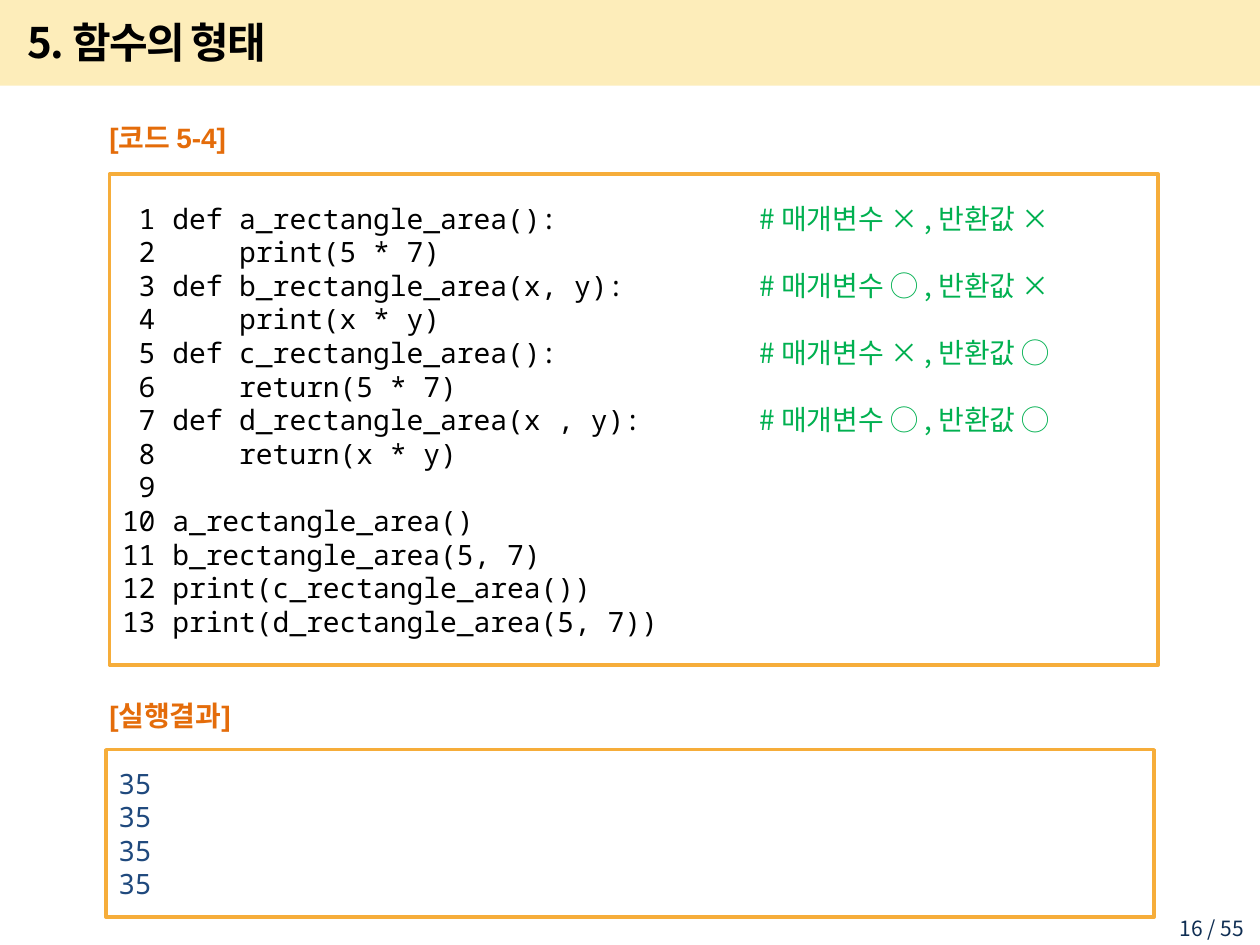
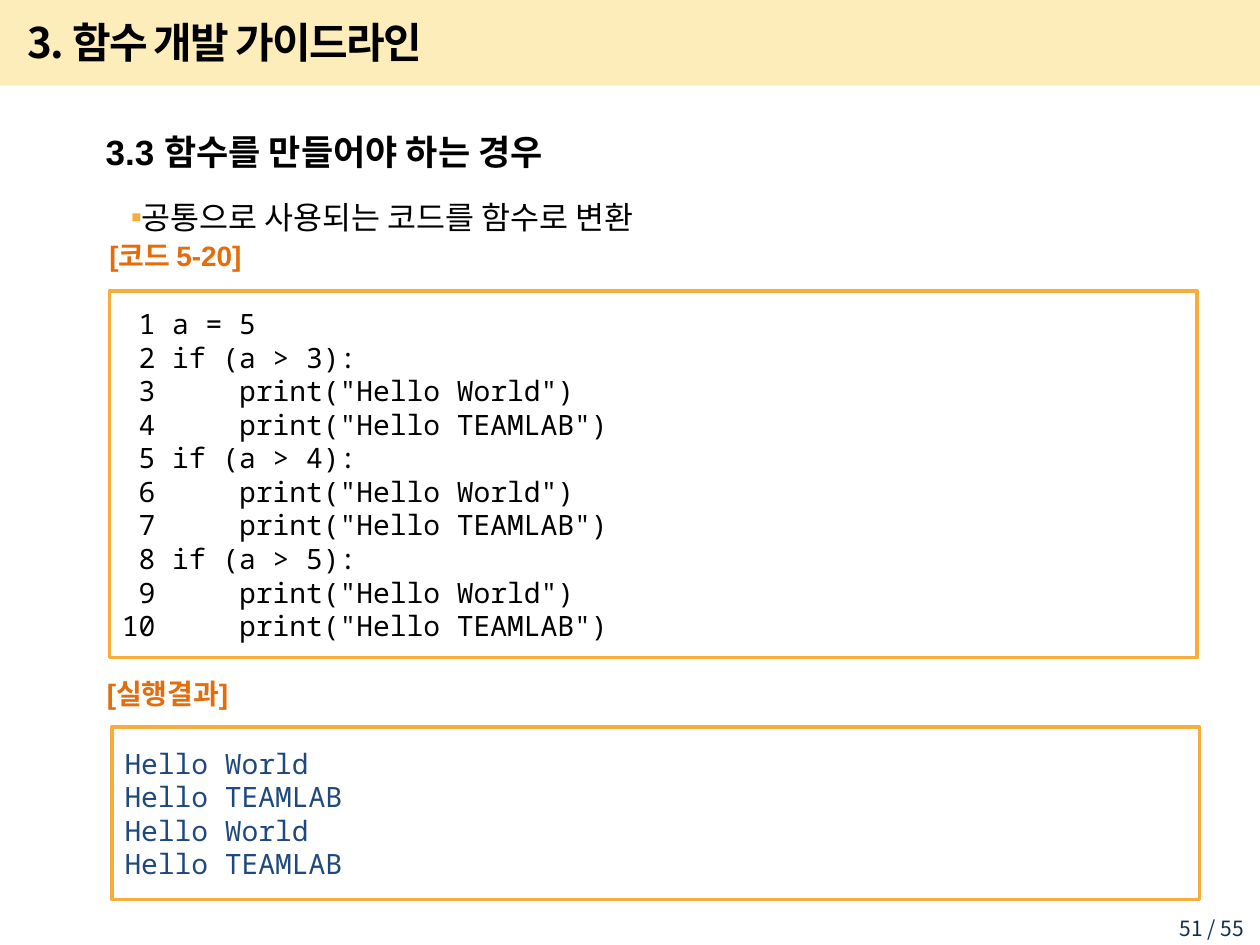
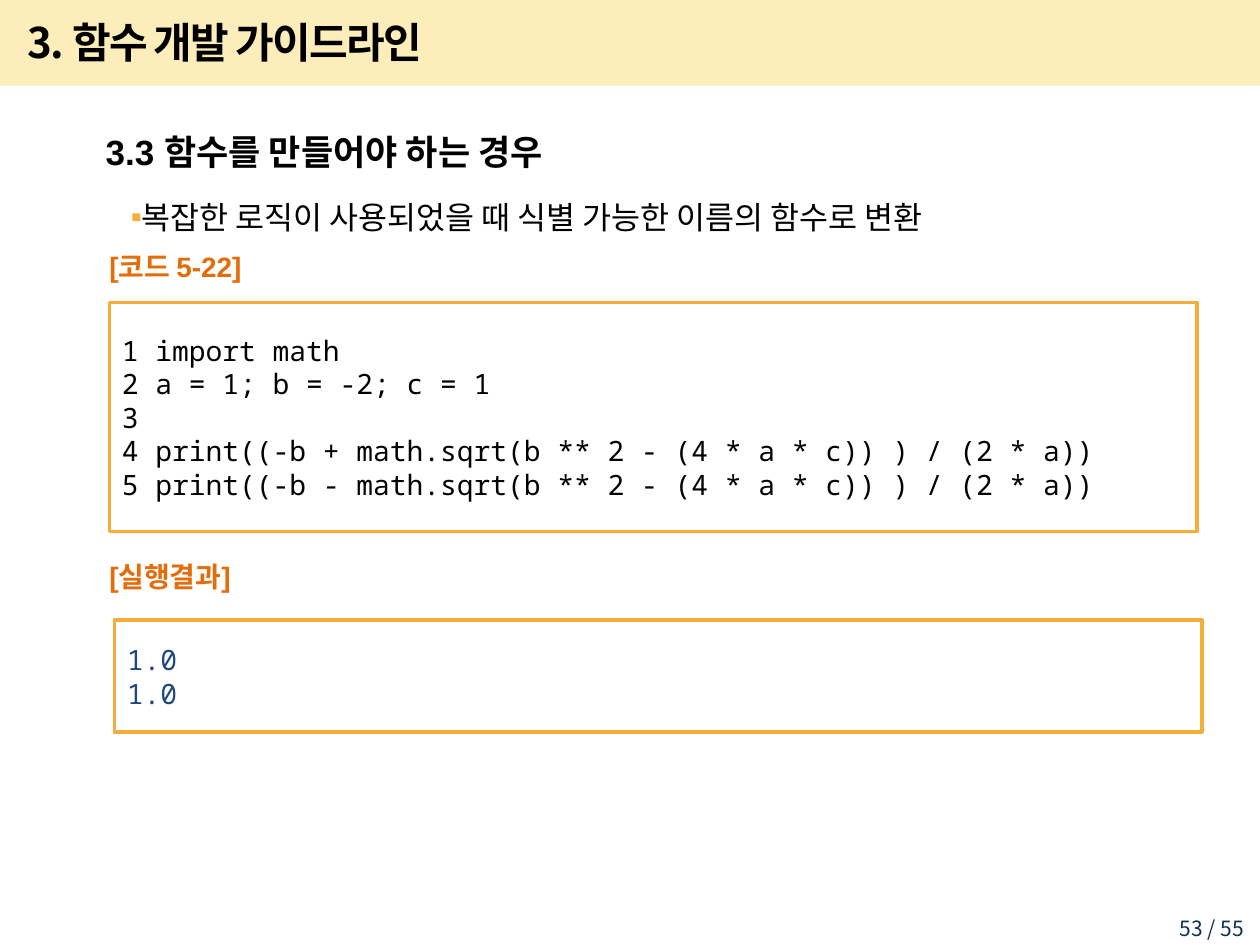
from lxml.etree import SubElement
from pptx import Presentation
from pptx.dml.color import RGBColor
from pptx.enum.shapes import MSO_SHAPE
from pptx.enum.text import MSO_ANCHOR, MSO_AUTO_SIZE, PP_ALIGN
from pptx.oxml.ns import qn
from pptx.util import Inches, Pt

# The grid has 10 columns and 7.5 rows.
WIDTH, HEIGHT = Inches(10), Inches(7.5)
COLUMN, ROW = WIDTH / 10, HEIGHT / 7.5
TITLE_ONLY = 5
PAGE_COUNT = 55

BLACK, BAND, BORDER = "000000", "FABE00", "F6AD3A"
LABEL, COMMENT, RESULT, FOOTER = "E46C0A", "00B050", "1F497D", "0F2E53"
KOREAN, LATIN, MONO = "Noto Sans CJK KR", "Arial", "Noto Sans Mono"

AREA_CODE = [
    ("def a_rectangle_area():", "# 매개변수 × , 반환값 ×"),
    "    print(5 * 7)",
    ("def b_rectangle_area(x, y):", "# 매개변수 ◯ , 반환값 ×"),
    "    print(x * y)",
    ("def c_rectangle_area():", "# 매개변수 × , 반환값 ◯"),
    "    return(5 * 7)",
    ("def d_rectangle_area(x , y):", "# 매개변수 ◯ , 반환값 ◯"),
    "    return(x * y)",
    "",
    "a_rectangle_area()",
    "b_rectangle_area(5, 7)",
    "print(c_rectangle_area())",
    "print(d_rectangle_area(5, 7))",
]
HELLO = ["Hello World", "Hello TEAMLAB"]
HELLO_CODE = ["a = 5"]
for limit in (3, 4, 5):
    HELLO_CODE.append(f"if (a > {limit}):")
    HELLO_CODE += [f'    print("{greeting}")' for greeting in HELLO]
ROOT_CODE = ["import math", "a = 1; b = -2; c = 1", ""] + [
    f"print((-b {sign} math.sqrt(b ** 2 - (4 * a * c)) ) / (2 * a))" for sign in "+-"
]


def color(value):
    return RGBColor.from_string(value)


def grid(left, top, width, height):
    return (round(left * COLUMN), round(top * ROW),
            round(width * COLUMN), round(height * ROW))


def style(span, size, font, ink, bold=False):
    span.font.size = Pt(size)
    span.font.name = font
    span.font.bold = bold
    span.font.color.rgb = color(ink)
    east_asian = SubElement(span.font._element, qn("a:ea"))
    east_asian.set("typeface", KOREAN)


def add_text(slide, place, text, size, font, ink, bold=False):
    """Add a text box of one paragraph and return its frame."""
    frame = slide.shapes.add_textbox(*grid(*place)).text_frame
    frame.text = text
    style(frame.paragraphs[0].runs[0], size, font, ink, bold)
    return frame


def add_band(layout, slide):
    """Draw the title band and move it to the back of the layout."""
    band = slide.shapes.add_shape(MSO_SHAPE.RECTANGLE, *grid(0, 0, 10, 0.68))
    band.shadow.inherit = False
    band.fill.solid()
    band.fill.fore_color.rgb = color(BAND)
    band.line.fill.background()
    shade = band.element.spPr.find(qn("a:solidFill"))[0]
    SubElement(shade, qn("a:alpha")).set("val", "27000")
    layout.shapes.element.insert(2, band.element)


def set_title(slide, text):
    title = slide.shapes.title
    title.left, title.top, title.width, title.height = grid(0.12, 0.07, 8.51, 0.52)
    frame = title.text_frame
    frame.text = text
    frame.auto_size = MSO_AUTO_SIZE.NONE
    frame.vertical_anchor = MSO_ANCHOR.MIDDLE
    frame.paragraphs[0].alignment = PP_ALIGN.LEFT
    span = frame.paragraphs[0].runs[0]
    style(span, 24, KOREAN, BLACK, True)
    span.font._element.set("spc", "-100")


def add_page_number(slide, number):
    frame = add_text(slide, (9.05, 7.22, 0.92, 0.23), f"{number} / {PAGE_COUNT}",
                     12, KOREAN, FOOTER)
    frame.paragraphs[0].alignment = PP_ALIGN.RIGHT


def add_slide(deck, title, number):
    slide = deck.slides.add_slide(deck.slide_layouts[TITLE_ONLY])
    set_title(slide, title)
    add_page_number(slide, number)
    return slide


def add_topic(slide, heading, point):
    frame = add_text(slide, (0.35, 0.82, 9.15, 1.1), heading, 20, LATIN, BLACK, True)
    frame.word_wrap = True
    bullet_para = frame.add_paragraph()
    bullet_para.text = point
    for para in frame.paragraphs:
        para.line_spacing = 1.5
        para._p.get_or_add_pPr().set("marL", str(Inches(0.39)))
    bullet_para.space_before = Pt(3.6)
    properties = bullet_para._p.get_or_add_pPr()
    properties.set("indent", str(Inches(0.2)))
    bullet_color = SubElement(properties, qn("a:buClr"))
    SubElement(bullet_color, qn("a:srgbClr")).set("val", BORDER)
    SubElement(properties, qn("a:buFont")).set("typeface", LATIN)
    SubElement(properties, qn("a:buChar")).set("char", "▪")
    style(bullet_para.runs[0], 18, LATIN, BLACK)


def add_label(slide, left, top, height, text):
    frame = add_text(slide, (left, top, 1.57, height), text, 16, LATIN, LABEL, True)
    frame.word_wrap = False
    frame.vertical_anchor = MSO_ANCHOR.MIDDLE


def add_listing(slide, place, lines, ink):
    """Add a bordered frame; a line given as a pair ends in a comment."""
    box = slide.shapes.add_shape(MSO_SHAPE.RECTANGLE, *grid(*place))
    box.shadow.inherit = False
    box.fill.background()
    box.line.color.rgb = color(BORDER)
    box.line.width = Pt(2)
    frame = box.text_frame
    frame.word_wrap = True
    frame.vertical_anchor = MSO_ANCHOR.MIDDLE
    for index, line in enumerate(lines):
        para = frame.add_paragraph() if index else frame.paragraphs[0]
        para.alignment = PP_ALIGN.LEFT
        code, comment = line if isinstance(line, tuple) else (line, "")
        span = para.add_run()
        span.text = code
        style(span, 16, MONO, ink)
        if comment:
            span.text += "\t"
            stops = SubElement(para._p.get_or_add_pPr(), qn("a:tabLst"))
            stop = SubElement(stops, qn("a:tab"))
            stop.set("pos", str(Inches(5.06)))
            stop.set("algn", "l")
            note = para.add_run()
            note.text = comment
            style(note, 16, KOREAN, COMMENT)


def numbered(lines):
    digits = len(str(len(lines)))
    result = []
    for number, line in enumerate(lines, 1):
        code, *comment = line if isinstance(line, tuple) else (line,)
        text = f"{number:>{digits}} {code}".rstrip()
        result.append((text, *comment) if comment else text)
    return result


def add_code(slide, name, label_top, place, lines):
    add_label(slide, 0.77, label_top, 0.5, f"[코드 {name}]")
    add_listing(slide, place, numbered(lines), BLACK)


def add_result(slide, label_left, label_top, place, lines):
    add_label(slide, label_left, label_top, 0.55, "[실행결과]")
    add_listing(slide, place, lines, RESULT)


def main():
    deck = Presentation()
    deck.slide_width, deck.slide_height = WIDTH, HEIGHT
    guideline, topic = "3. 함수 개발 가이드라인", "3.3 함수를 만들어야 하는 경우"

    forms = add_slide(deck, "5. 함수의 형태", 16)
    add_band(deck.slide_layouts[TITLE_ONLY], forms)
    add_code(forms, "5-4", 0.84, (0.87, 1.38, 8.32, 3.9), AREA_CODE)
    add_result(forms, 0.77, 5.4, (0.84, 5.95, 8.32, 1.33), ["35"] * 4)

    shared = add_slide(deck, guideline, 51)
    add_topic(shared, topic, "공통으로 사용되는 코드를 함수로 변환")
    add_code(shared, "5-20", 1.78, (0.87, 2.31, 8.63, 2.91), HELLO_CODE)
    add_result(shared, 0.75, 5.23, (0.89, 5.77, 8.63, 1.37), HELLO * 2)

    logic = add_slide(deck, guideline, 53)
    add_topic(logic, topic, "복잡한 로직이 사용되었을 때 식별 가능한 이름의 함수로 변환")
    add_code(logic, "5-22", 1.86, (0.87, 2.4, 8.63, 1.82), ROOT_CODE)
    add_result(logic, 0.77, 4.3, (0.91, 4.92, 8.63, 0.89), ["1.0"] * 2)

    deck.save("out.pptx")


if __name__ == "__main__":
    main()
